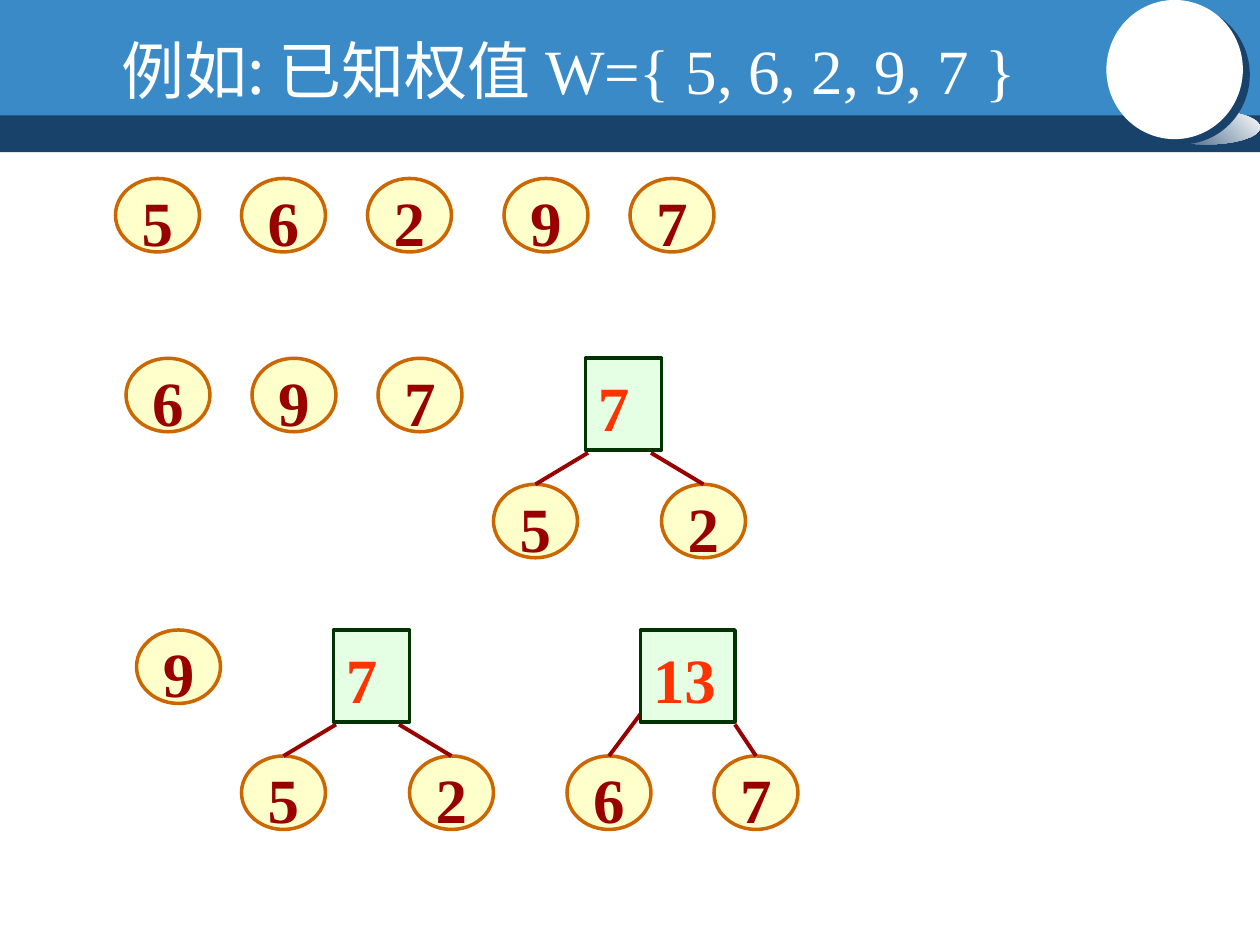
"""Build a slide that merges the weights 5, 6, 2, 9, 7 into Huffman subtrees."""
from dataclasses import dataclass

from lxml import etree
from pptx import Presentation
from pptx import util as u
from pptx.dml.color import RGBColor
from pptx.enum import shapes, text
from pptx.oxml.ns import qn

PX = 9525


@dataclass(frozen=True)
class Theme:
    white: str = "FFFFFF"
    band: str = "398AC7"
    navy: str = "19426B"
    leaf_fill: str = "FFFF99"
    leaf_line: str = "CC6600"
    leaf_text: str = "990000"
    root_fill: str = "CCFFCC"
    root_line: str = "003300"
    root_text: str = "FF3300"
    branch: str = "990000"
    latin: str = "Times New Roman"
    chinese: str = "Noto Sans CJK SC"
    size: int = 36
    outline: float = 2
    branch_width: float = 2.25


THEME = Theme()
TITLE = [("例如: 已知权值 ", THEME.chinese), ("W={ 5, 6, 2, 9, 7 }", THEME.latin)]
LEAF_W, LEAF_H, ROOT_H, LEVEL = 64, 56, 70, 96
LEAF_ROWS = [
    (136, [("5", 88), ("6", 184), ("2", 280), ("9", 384), ("7", 480)]),
    (273, [("6", 96), ("9", 192), ("7", 288)]),
    (480, [("9", 104)]),
]
SEVEN = {"root": "7", "width": 58,
         "children": [("5", -70, (2, 72)), ("2", 58, (50, 72))]}
THIRTEEN = {"root": "13", "width": 72,
            "children": [("6", -56, (0, 64)), ("7", 56, (72, 72))]}
TREES = [(SEVEN, 446, 273), (SEVEN, 254, 480), (THIRTEEN, 488, 480)]


def color(code):
    return RGBColor.from_string(code)


def px(*lengths):
    return [u.Emu(length * PX) for length in lengths]


def add_figure(slide, kind, box, fill):
    figure = slide.shapes.add_shape(kind, *px(*box))
    figure.shadow.inherit = False
    figure.fill.solid()
    figure.fill.fore_color.rgb = color(fill)
    figure.line.fill.background()
    return figure


def style_run(run, font, code, bold=False):
    run.font.name, run.font.size, run.font.bold = font, u.Pt(THEME.size), bold
    run.font.color.rgb = color(code)
    etree.SubElement(run.font._element, qn("a:ea"), typeface=font)


def add_node(slide, kind, label, box, fill, line, ink):
    node = add_figure(slide, kind, box, fill)
    tint = node.fill._xPr.find(qn("a:solidFill"))[0]
    etree.SubElement(tint, qn("a:alpha"), val="50000")
    node.line.color.rgb = color(line)
    node.line.width = u.Pt(THEME.outline)
    node.text_frame.text = label
    style_run(node.text_frame.paragraphs[0].runs[0], THEME.latin, ink, True)
    return node.text_frame


def add_leaf(slide, label, x, y):
    frame = add_node(slide, shapes.MSO_SHAPE.OVAL, label, (x, y, LEAF_W, LEAF_H),
                     THEME.leaf_fill, THEME.leaf_line, THEME.leaf_text)
    frame.word_wrap = False
    frame.vertical_anchor = text.MSO_ANCHOR.MIDDLE
    frame.margin_top = u.Emu(14 * PX)
    frame.paragraphs[0].alignment = text.PP_ALIGN.CENTER


def add_branch(slide, start, end):
    branch = slide.shapes.add_connector(shapes.MSO_CONNECTOR.STRAIGHT, *px(*start, *end))
    branch.line.color.rgb = color(THEME.branch)
    branch.line.width = u.Pt(THEME.branch_width)
    etree.SubElement(branch._element.spPr, qn("a:effectLst"))


def add_tree(slide, tree, x, y):
    for label, dx, (start_x, start_y) in tree["children"]:
        add_leaf(slide, label, x + dx, y + LEVEL)
        add_branch(slide, (x + start_x, y + start_y), (x + dx + LEAF_W // 2, y + LEVEL))
    frame = add_node(slide, shapes.MSO_SHAPE.RECTANGLE, tree["root"],
                     (x, y, tree["width"], ROOT_H),
                     THEME.root_fill, THEME.root_line, THEME.root_text)
    frame.vertical_anchor = text.MSO_ANCHOR.BOTTOM
    frame.paragraphs[0].alignment = text.PP_ALIGN.LEFT


def add_header(slide):
    oval, rect = shapes.MSO_SHAPE.OVAL, shapes.MSO_SHAPE.RECTANGLE
    add_figure(slide, rect, (0, 84, 960, 32), THEME.navy)
    add_figure(slide, rect, (0, 0, 960, 88), THEME.band)
    glow = add_figure(slide, oval, (878, 84, 82, 26), THEME.navy)
    glow.fill.gradient()
    glow.fill.gradient_angle = 45
    for stop, code in zip(glow.fill.gradient_stops, (THEME.navy, THEME.white)):
        stop.color.rgb = color(code)
    disc = add_figure(slide, oval, (843, 0, 104, 106), THEME.white)
    effects = disc._element.spPr.find(qn("a:effectLst"))
    shadow = etree.SubElement(effects, qn("a:outerShdw"), dist=str(u.Pt(5)),
                              dir="2220000", algn="ctr", rotWithShape="0")
    etree.SubElement(shadow, qn("a:srgbClr"), val=THEME.navy)

    frame = slide.shapes.add_textbox(*px(83, 19, 737, 67)).text_frame
    frame.word_wrap = False
    for words, font in TITLE:
        run = frame.paragraphs[0].add_run()
        run.text = words
        style_run(run, font, THEME.white)


def main():
    deck = Presentation()
    deck.slide_width, deck.slide_height = px(960, 720)
    slide = deck.slides.add_slide(deck.slide_layouts[6])
    add_header(slide)
    for y, leaves in LEAF_ROWS:
        for label, x in leaves:
            add_leaf(slide, label, x, y)
    for tree, x, y in TREES:
        add_tree(slide, tree, x, y)
    deck.save("out.pptx")


if __name__ == "__main__":
    main()
